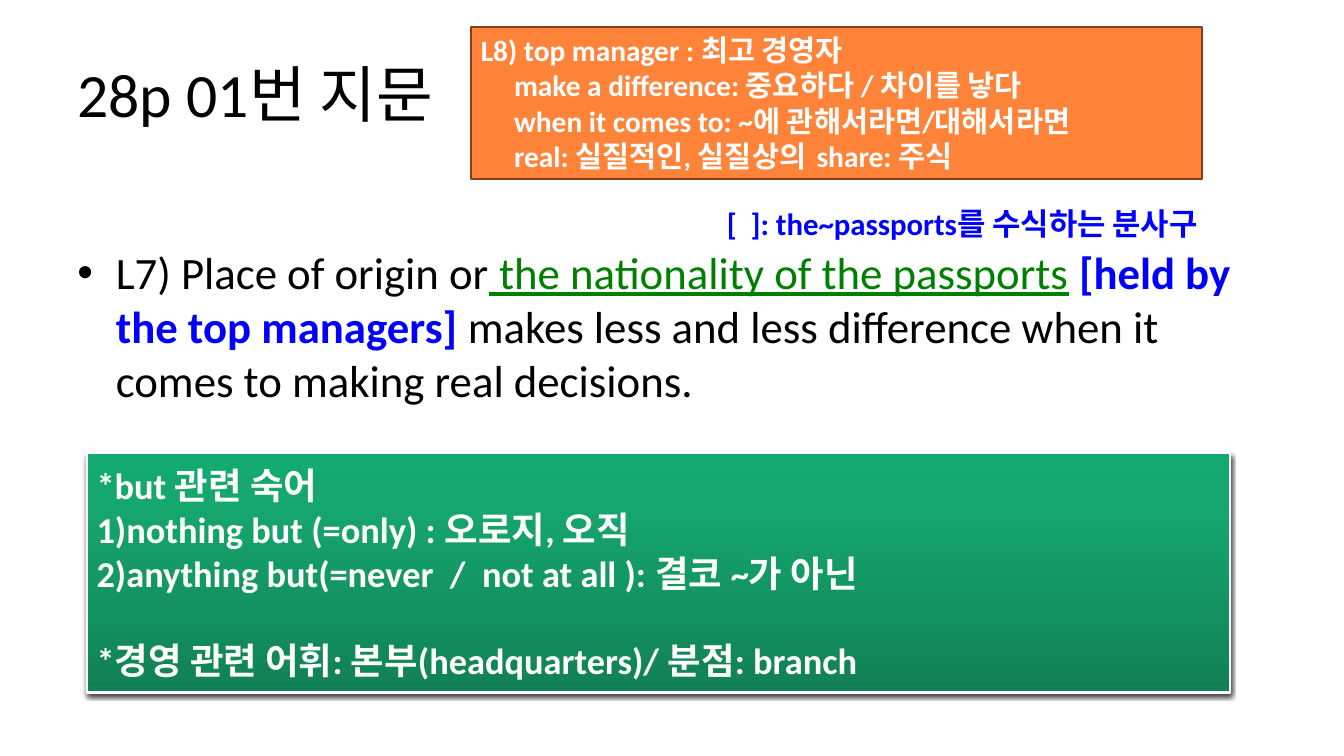
from pptx import Presentation
from pptx.dml.color import RGBColor
from pptx.enum import shapes, text
from pptx.oxml import parse_xml
from pptx.oxml.ns import nsdecls, qn
from pptx.util import Inches, Pt

BLACK = RGBColor(0, 0, 0)
WHITE = RGBColor(0xFF, 0xFF, 0xFF)
BLUE = RGBColor(0, 0, 0xFF)
GREEN = RGBColor(0, 0x80, 0)
ORANGE = RGBColor(0xFF, 0x84, 0x3A)
BROWN = RGBColor(0x7F, 0x42, 0x1D)
GREEN_STOPS = [
    (0, RGBColor(0x11, 0x81, 0x55)),
    (80, RGBColor(0x16, 0xA7, 0x6E)),
    (100, RGBColor(0x13, 0xAA, 0x6F)),
]


def add_span(para, words, size, color, bold=False, underline=False):
    span = para.add_run()
    span.text = words
    font = span.font
    font.name, font.size, font.bold, font.underline = "Calibri", Pt(size), bold, underline
    font.color.rgb = color


def set_indent(para, left, first=0):
    properties = para._p.get_or_add_pPr()
    properties.set("marL", str(Inches(left)))
    properties.set("indent", str(Inches(first)))
    return properties


def add_text_box(page, left, top, width, height):
    box = page.shapes.add_textbox(Inches(left), Inches(top), Inches(width), Inches(height))
    box.text_frame.word_wrap = True
    return box.text_frame


def add_panel(page, left, top, width, height, line_color, lines, size):
    """Add an outlined rectangle with bold white left-aligned lines."""
    panel = page.shapes.add_shape(
        shapes.MSO_SHAPE.RECTANGLE, Inches(left), Inches(top), Inches(width), Inches(height))
    panel.shadow.inherit = False
    panel.line.color.rgb = line_color
    panel.line.width = Pt(1.5)
    frame = panel.text_frame
    frame.word_wrap = True
    for number, line in enumerate(lines):
        para = frame.add_paragraph() if number else frame.paragraphs[0]
        para.alignment = text.PP_ALIGN.LEFT
        add_span(para, line, size, WHITE, bold=True)
    return panel


def add_green_finish(panel):
    """Give the panel its upward gradient and soft drop shadow."""
    stops = "".join(
        f'<a:gs pos="{place * 1000}"><a:srgbClr val="{color}"/></a:gs>'
        for place, color in GREEN_STOPS)
    gradient = parse_xml(
        f'<a:gradFill {nsdecls("a")} rotWithShape="1"><a:gsLst>{stops}</a:gsLst>'
        '<a:lin ang="16200000" scaled="0"/></a:gradFill>')
    properties = panel._element.spPr
    properties.find(qn("a:prstGeom")).addnext(gradient)
    properties.find(qn("a:effectLst")).append(parse_xml(
        f'<a:outerShdw {nsdecls("a")} blurRad="{Pt(3)}" dist="{Pt(2)}" dir="5400000" '
        'rotWithShape="0"><a:srgbClr val="000000"><a:alpha val="75000"/></a:srgbClr>'
        '</a:outerShdw>'))


def add_title(page):
    title = page.shapes.title
    title.left, title.top = Inches(0.67), Inches(0.3)
    title.width, title.height = Inches(12), Inches(1.25)
    title.text_frame.vertical_anchor = text.MSO_ANCHOR.MIDDLE
    para = title.text_frame.paragraphs[0]
    para.alignment = text.PP_ALIGN.LEFT
    add_span(para, "28p 01번 지문", 44, BLACK)


def add_sentence(page):
    para = add_text_box(page, 0.67, 2.38, 12, 1.75).paragraphs[0]
    properties = set_indent(para, 0.38, -0.38)
    properties.append(parse_xml(f'<a:buFont {nsdecls("a")} typeface="Arial"/>'))
    properties.append(parse_xml(f'<a:buChar {nsdecls("a")} char="•"/>'))
    add_span(para, "L7) Place of origin or", 32, BLACK)
    add_span(para, " the nationality of the passports", 32, GREEN, underline=True)
    add_span(para, " ", 32, BLACK)
    add_span(para, "[held by the top managers]", 32, BLUE, bold=True)
    add_span(para, " makes less and less difference when it comes to making real decisions.",
             32, BLACK)


def add_grammar_note(page):
    para = add_text_box(page, 7.11, 1.98, 5.09, 0.46).paragraphs[0]
    add_span(para, "[  ]: the~passports를 수식하는 분사구", 22, BLUE, bold=True)


def add_vocabulary(page):
    panel = add_panel(page, 4.67, 0.27, 7.25, 1.51, BROWN, [
        "L8) top manager : 최고 경영자",
        "make a difference: 중요하다 / 차이를 낳다",
        "when it comes to: ~에 관해서라면/대해서라면",
        "real: 실질적인, 실질상의\tshare: 주식",
    ], 21)
    panel.fill.solid()
    panel.fill.fore_color.rgb = ORANGE
    panel.text_frame.vertical_anchor = text.MSO_ANCHOR.TOP
    for para in panel.text_frame.paragraphs[1:]:
        properties = set_indent(para, 0.33)
    properties.append(parse_xml(
        f'<a:tabLst {nsdecls("a")}><a:tab pos="{Inches(4.16)}" algn="l"/></a:tabLst>'))


def add_idioms(page):
    panel = add_panel(page, 0.86, 4.49, 11.34, 2.38, WHITE, [
        "*but 관련 숙어",
        "1)nothing but (=only) : 오로지, 오직",
        "2)anything but(=never  /  not at all ): 결코 ~가 아닌",
        "*경영 관련 어휘: 본부(headquarters)/ 분점: branch",
    ], 26)
    add_green_finish(panel)
    panel.text_frame.vertical_anchor = text.MSO_ANCHOR.MIDDLE
    panel.text_frame.paragraphs[-1].space_before = Pt(31)


def main():
    deck = Presentation()
    deck.slide_width, deck.slide_height = Inches(13.33), Inches(7.5)
    page = deck.slides.add_slide(deck.slide_layouts[5])
    add_title(page)
    add_sentence(page)
    add_grammar_note(page)
    add_vocabulary(page)
    add_idioms(page)
    deck.save("out.pptx")


if __name__ == "__main__":
    main()
